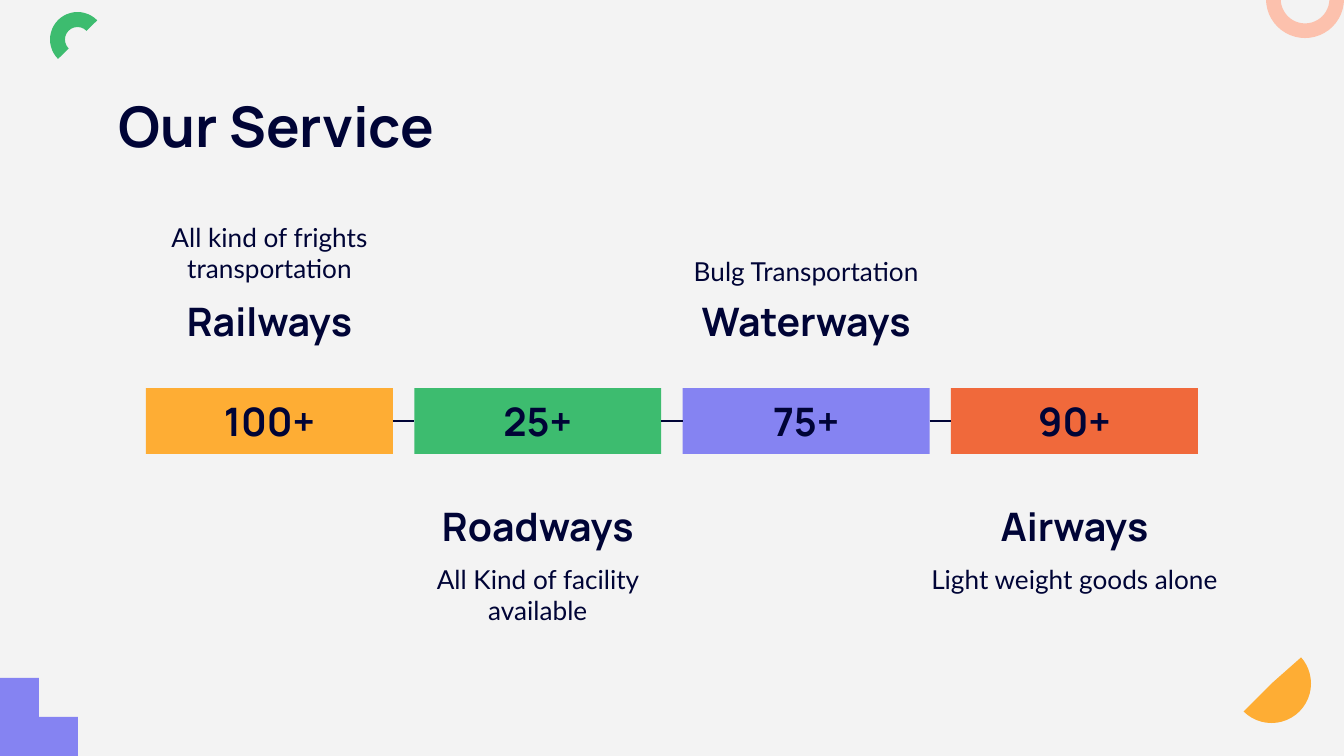
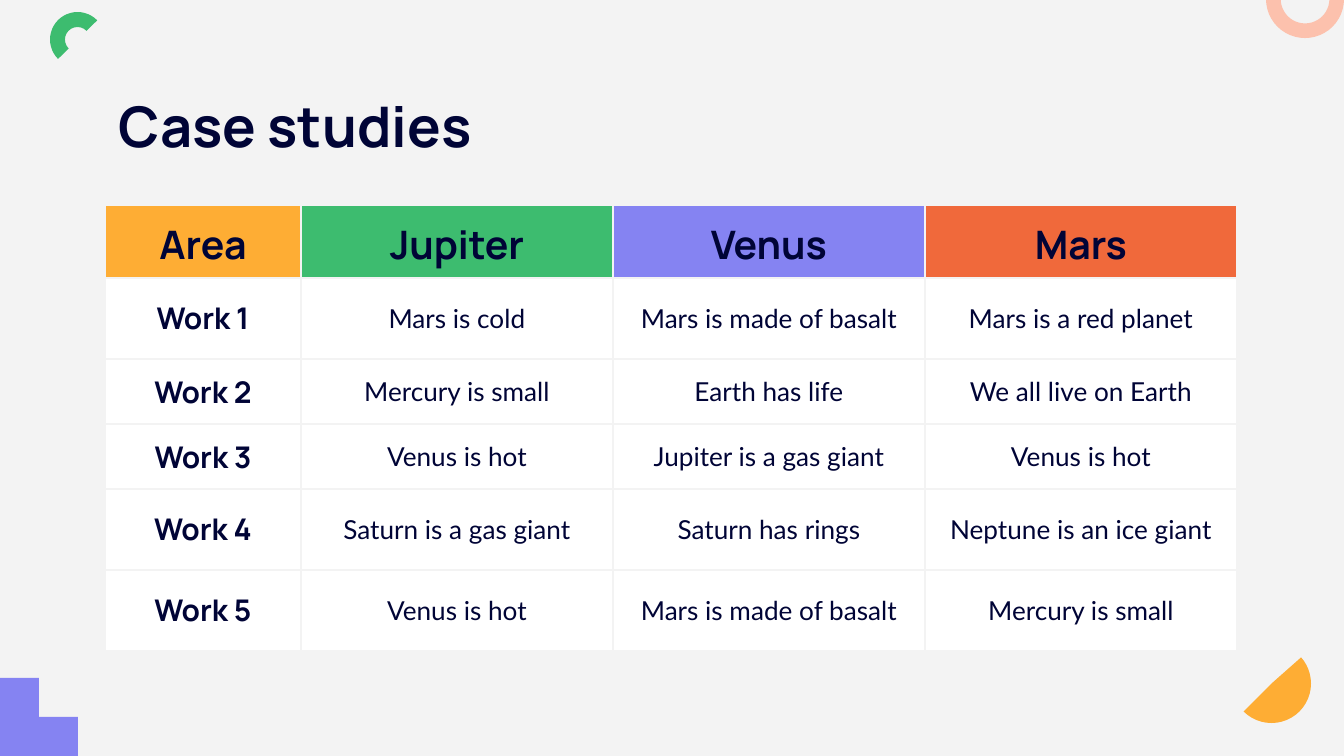
from lxml.etree import SubElement
from pptx import Presentation
from pptx.dml.color import RGBColor
from pptx.enum.shapes import MSO_CONNECTOR as CONNECTOR, MSO_SHAPE as SHAPE
from pptx.enum.text import MSO_ANCHOR as ANCHOR, PP_ALIGN as ALIGN
from pptx.oxml.ns import qn
from pptx.util import Emu, Pt

PX_PER_INCH = 134.4
SLIDE_BOX = (0, 0, 1344, 756)
INK, PAPER, WHITE = "000436", "F3F3F3", "FFFFFF"
YELLOW, GREEN, VIOLET, ORANGE, PEACH = "FEAD34", "3DBC6F", "8583F2", "F0693B", "FCC1AD"
ACCENTS = [YELLOW, GREEN, VIOLET, ORANGE]

TITLE = {"name": "Manrope", "size": Pt(30), "bold": True}
HEADING = {"name": "Manrope", "size": Pt(21), "bold": True}
ROW_LABEL = {"name": "Manrope", "size": Pt(16), "bold": True}
BODY = {"name": "Lato", "size": Pt(14), "bold": False}

DECORATIONS = [
    (SHAPE.BLOCK_ARC, (1266, -40, 78, 78), 180, [108, 0.006, 0.188], PEACH),
    (SHAPE.BLOCK_ARC, (50, 12, 55, 55), 315, [108, 0.54, 0.272], GREEN),
    (SHAPE.PIE, (1232, 644, 79, 79), 225, [56.115, 162], YELLOW),
    (SHAPE.CORNER, (0, 678, 78, 78), 0, [0.5, 0.5], VIOLET),
]

SERVICES = [
    ("100+", "Railways", "All kind of frights transportation"),
    ("25+", "Roadways", "All Kind of facility available"),
    ("75+", "Waterways", "Bulg Transportation"),
    ("90+", "Airways", "Light weight goods alone"),
]

CASES = [
    ["Area", "Jupiter", "Venus", "Mars"],
    ["Work 1", "Mars is cold", "Mars is made of basalt", "Mars is a red planet"],
    ["Work 2", "Mercury is small", "Earth has life", "We all live on Earth"],
    ["Work 3", "Venus is hot", "Jupiter is a gas giant", "Venus is hot"],
    ["Work 4", "Saturn is a gas giant", "Saturn has rings", "Neptune is an ice giant"],
    ["Work 5", "Venus is hot", "Mars is made of basalt", "Mercury is small"],
]
COLUMN_WIDTHS = [196, 312, 312, 312]
ROW_HEIGHTS = [71, 81, 65, 65, 81, 81]


def px(length):
    """Turn pixels into EMU."""
    return Emu(round(length * 914400 / PX_PER_INCH))


def color(hex_string):
    """Turn a hex string into a colour."""
    return RGBColor.from_string(hex_string)


def apply(target, formats):
    """Set every attribute named in a dict of format values."""
    for name, value in formats.items():
        setattr(target, name, value)


def fill(target, hex_string):
    """Give a shape, cell or background a solid fill."""
    target.fill.solid()
    target.fill.fore_color.rgb = color(hex_string)


def write(frame, text, font, align=ALIGN.CENTER):
    """Write one paragraph in a text frame."""
    paragraph = frame.paragraphs[0]
    paragraph.text = text
    paragraph.alignment = align
    apply(paragraph.font, font)
    paragraph.font.color.rgb = color(INK)


def set_frame(frame, anchor, vertical=13):
    """Set the insets, anchor and wrapping of a text frame."""
    apply(frame, {"word_wrap": True, "vertical_anchor": anchor,
                  "margin_left": px(13), "margin_right": px(13),
                  "margin_top": px(vertical), "margin_bottom": px(vertical)})


def add_text(slide, box, text, font, anchor=ANCHOR.TOP, vertical=13, align=ALIGN.CENTER):
    """Add a text box."""
    frame = slide.shapes.add_textbox(*map(px, box)).text_frame
    set_frame(frame, anchor, vertical)
    write(frame, text, font, align)


def add_shape(slide, kind, box, hex_string):
    """Add a flat shape without an outline."""
    shape = slide.shapes.add_shape(kind, *map(px, box))
    shape.shadow.inherit = False
    shape.line.fill.background()
    fill(shape, hex_string)
    return shape


def add_link(slide, left, right, y):
    """Join two cards with a horizontal line."""
    line = slide.shapes.add_connector(CONNECTOR.STRAIGHT, px(left), px(y), px(right), px(y))
    line.line.width = Pt(1.5)
    line.line.color.rgb = color(INK)
    SubElement(line._element.spPr, qn("a:effectLst"))


def add_base_slide(presentation, title, box):
    """Add a slide with the shared background, corner shapes and title."""
    slide = presentation.slides.add_slide(presentation.slide_layouts[6])
    fill(slide.background, PAPER)
    left, top, width, _ = box
    for kind, (x, y, w, h), rotation, adjustments, hex_string in DECORATIONS:
        shape = add_shape(slide, kind, (left + x, top + y, w, h), hex_string)
        shape.rotation = rotation
        for index, value in enumerate(adjustments):
            shape.adjustments[index] = value
    add_text(slide, (left + 106, top + 79, width - 211, 85), title, TITLE, align=ALIGN.LEFT)
    return slide


def add_label(slide, box, above, name, description):
    """Put a service name and description above or below its card."""
    left, top, width, height = box
    label_width = 328
    x = left + (width - label_width) / 2
    name_y = top - 96 if above else top + height + 43
    add_text(slide, (x, name_y, label_width, 52), name, HEADING, ANCHOR.BOTTOM, 0)
    short = above and len(description) < 24
    y = name_y - (50 if short else 84) if above else name_y + 53
    add_text(slide, (x, y, label_width, 66 if short else 84), description, BODY)


def add_services(slide, box):
    """Lay out the service cards with alternating labels and links."""
    left, top, width, height = box
    card_width = 247
    pitch = (width - card_width) / (len(SERVICES) - 1)
    for index, ((number, name, description), accent) in enumerate(zip(SERVICES, ACCENTS)):
        x = left + index * pitch
        card_box = (x, top, card_width, height)
        card = add_shape(slide, SHAPE.RECTANGLE, card_box, accent)
        set_frame(card.text_frame, ANCHOR.MIDDLE)
        write(card.text_frame, number, HEADING)
        add_label(slide, card_box, index % 2 == 0, name, description)
        if index:
            add_link(slide, x - pitch + card_width, x, top + height / 2)


def add_borders(cell):
    """Draw the four borders of a cell in the background colour."""
    properties = cell._tc.get_or_add_tcPr()
    for side in ("lnL", "lnR", "lnT", "lnB"):
        line = SubElement(properties, qn(f"a:{side}"), w=str(int(Pt(1.5))))
        SubElement(SubElement(line, qn("a:solidFill")), qn("a:srgbClr"), val=PAPER)


def add_cases(slide, box):
    """Add the table of case studies."""
    frame = slide.shapes.add_table(len(CASES), len(COLUMN_WIDTHS), *map(px, box))
    table = frame.table
    apply(table, {"first_row": False, "horz_banding": False})
    for column, width in zip(table.columns, COLUMN_WIDTHS):
        column.width = px(width)
    for row, height in zip(table.rows, ROW_HEIGHTS):
        row.height = px(height)
    margins = {f"margin_{side}": px(13) for side in ("left", "right", "top", "bottom")}
    for row_index, texts in enumerate(CASES):
        for column_index, text in enumerate(texts):
            cell = table.cell(row_index, column_index)
            apply(cell, {"vertical_anchor": ANCHOR.MIDDLE, **margins})
            add_borders(cell)
            fill(cell, WHITE if row_index else ACCENTS[column_index])
            font = HEADING if not row_index else BODY if column_index else ROW_LABEL
            write(cell.text_frame, text, font)


def main():
    """Build and save the presentation."""
    presentation = Presentation()
    apply(presentation, {"slide_width": px(SLIDE_BOX[2]), "slide_height": px(SLIDE_BOX[3])})
    add_services(add_base_slide(presentation, "Our Service", SLIDE_BOX), (146, 388, 1052, 66))
    add_cases(add_base_slide(presentation, "Case studies", SLIDE_BOX),
              (105, 205, sum(COLUMN_WIDTHS), sum(ROW_HEIGHTS)))
    presentation.save("out.pptx")


if __name__ == "__main__":
    main()
